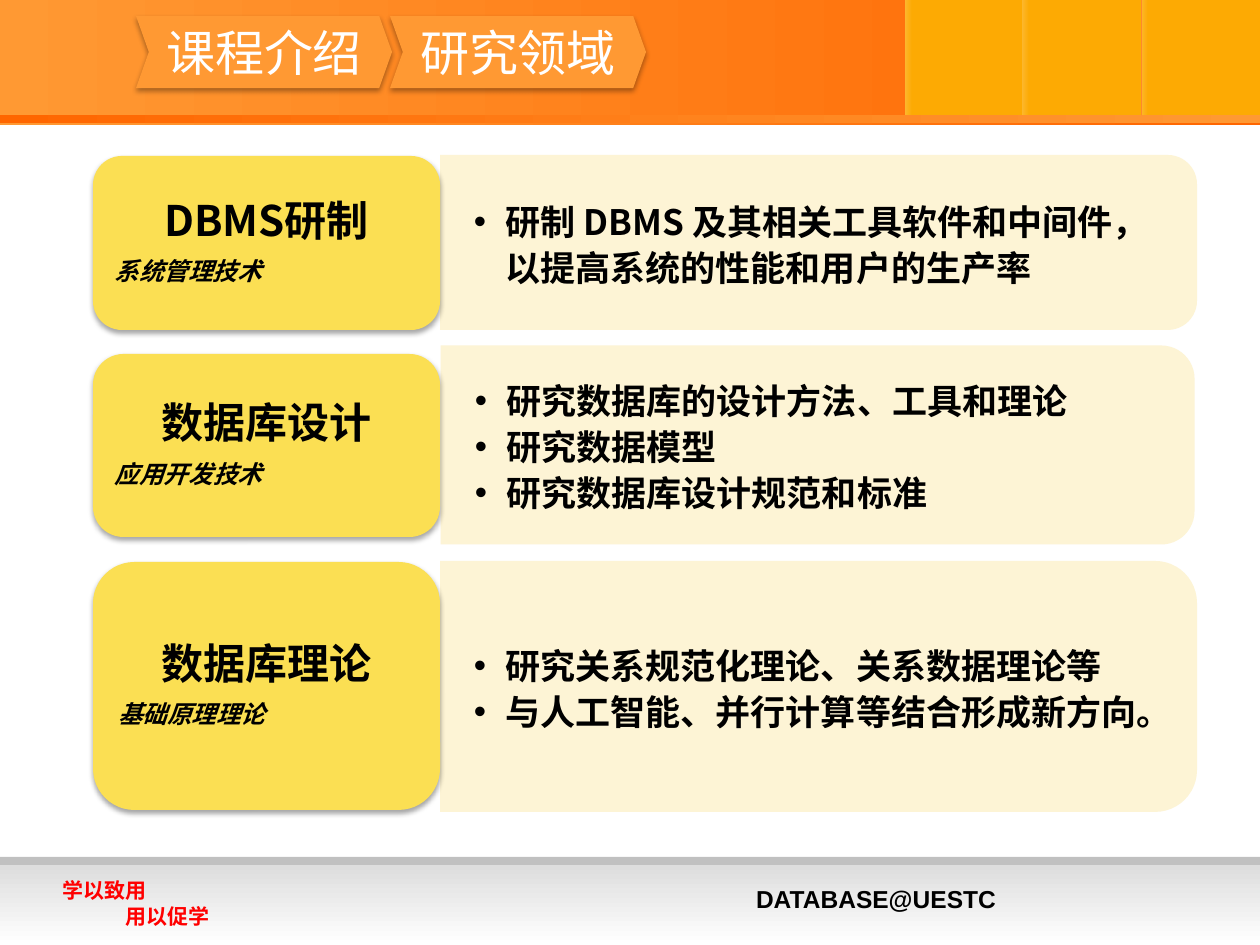
from dataclasses import dataclass
from typing import Any, Optional

from lxml.etree import SubElement
from pptx import Presentation
from pptx.dml.color import RGBColor
from pptx.enum.shapes import MSO_SHAPE
from pptx.enum.text import MSO_ANCHOR, PP_ALIGN
from pptx.oxml.ns import qn
from pptx.util import Emu, Pt

PX = 914400 / 126
ORANGE = RGBColor(0xFF, 0x66, 0x00)
LIGHT_ORANGE = RGBColor(0xFF, 0x99, 0x33)
AMBER = RGBColor(0xFD, 0xAA, 0x03)
YELLOW = RGBColor(0xFB, 0xDF, 0x53)
CREAM = RGBColor(0xFD, 0xF3, 0xD1)
SILVER = RGBColor(0xC0, 0xC0, 0xC0)
PALE_GRAY = RGBColor(0xDD, 0xDD, 0xDD)
WHITE = RGBColor(0xFF, 0xFF, 0xFF)
BLACK = RGBColor(0x00, 0x00, 0x00)
RED = RGBColor(0xFF, 0x00, 0x00)
CJK = "Noto Sans CJK SC"


@dataclass(frozen=True)
class Box:
    left: int
    top: int
    width: int
    height: int

    def emu(self) -> list[Emu]:
        return [px(v) for v in (self.left, self.top, self.width, self.height)]

    def turned(self) -> "Box":
        shift = (self.width - self.height) // 2
        return Box(self.left + shift, self.top - shift, self.height, self.width)


@dataclass(frozen=True)
class Topic:
    title: str
    subtitle: str
    points: tuple[str, ...]
    label: Box
    panel: Box


TOPICS = (
    Topic("DBMS研制", "系统管理技术",
          ("研制 DBMS 及其相关工具软件和中间件，以提高系统的性能和用户的生产率",),
          Box(93, 156, 347, 174), Box(440, 155, 757, 175)),
    Topic("数据库设计", "应用开发技术",
          ("研究数据库的设计方法、工具和理论", "研究数据模型", "研究数据库设计规范和标准"),
          Box(93, 354, 347, 183), Box(441, 345, 754, 199)),
    Topic("数据库理论", "基础原理理论",
          ("研究关系规范化理论、关系数据理论等", "与人工智能、并行计算等结合形成新方向。"),
          Box(93, 562, 347, 248), Box(440, 561, 757, 251)),
)


def px(value: int) -> Emu:
    return Emu(round(value * PX))


def set_alpha(shape: Any, *percents: int) -> None:
    for color, percent in zip(shape._element.spPr.iter(qn("a:srgbClr")), percents):
        SubElement(color, qn("a:alpha"), val=str(percent * 1000))


def add_solid(slide: Any, kind: MSO_SHAPE, box: Box, color: RGBColor) -> Any:
    shape = slide.shapes.add_shape(kind, *box.emu())
    shape.shadow.inherit = False
    shape.line.fill.background()
    shape.fill.solid()
    shape.fill.fore_color.rgb = color
    return shape


def add_gradient(slide: Any, box: Box, start: RGBColor, end: RGBColor, angle: int = 0) -> Any:
    shape = add_solid(slide, MSO_SHAPE.RECTANGLE, box, start)
    shape.fill.gradient()
    shape.fill.gradient_angle = angle
    for stop, color in zip(shape.fill.gradient_stops, (start, end)):
        stop.color.rgb = color
    return shape


def add_shadow(shape: Any) -> None:
    effects = shape._element.spPr.find(qn("a:effectLst"))
    shadow = SubElement(effects, qn("a:outerShdw"), blurRad="39370", dist="22860",
                        dir="5400000", rotWithShape="0")
    color = SubElement(shadow, qn("a:srgbClr"), val="000000")
    SubElement(color, qn("a:alpha"), val="35000")


def set_frame(shape: Any, horizontal: int, vertical: int, anchor: MSO_ANCHOR) -> Any:
    frame = shape.text_frame
    formats = {"word_wrap": True, "vertical_anchor": anchor,
               "margin_left": px(horizontal), "margin_right": px(horizontal),
               "margin_top": px(vertical), "margin_bottom": px(vertical)}
    for name, value in formats.items():
        setattr(frame, name, value)
    return frame


def write(frame: Any, index: int, text: str, color: RGBColor, font: dict[str, Any],
          layout: Optional[dict[str, Any]] = None, bullet: bool = False) -> None:
    paragraph = frame.add_paragraph() if index else frame.paragraphs[0]
    for name, value in ({"alignment": PP_ALIGN.LEFT} | (layout or {})).items():
        setattr(paragraph, name, value)
    if bullet:
        properties = paragraph._p.get_or_add_pPr()
        properties.set("marL", "228600")
        properties.set("indent", "-228600")
        SubElement(properties, qn("a:buFont"), typeface="Arial")
        SubElement(properties, qn("a:buChar"), char="•")
    run = paragraph.add_run()
    run.text = text
    for name, value in font.items():
        setattr(run.font, name, value)
    run.font.color.rgb = color
    SubElement(run._r.get_or_add_rPr(), qn("a:ea"), typeface=CJK)


def add_header(slide: Any) -> None:
    add_gradient(slide, Box(0, 0, 1260, 125), LIGHT_ORANGE, ORANGE)
    for left in (905, 1023, 1142):
        add_solid(slide, MSO_SHAPE.RECTANGLE, Box(left, 0, 118, 116), AMBER)
        set_alpha(add_gradient(slide, Box(left, 0, 6, 116), WHITE, AMBER), 18, 15)
    add_gradient(slide, Box(0, 115, 1260, 8), ORANGE, LIGHT_ORANGE)


def add_footer(slide: Any) -> None:
    add_solid(slide, MSO_SHAPE.RECTANGLE, Box(0, 857, 1260, 37), SILVER)
    add_gradient(slide, Box(0, 865, 1260, 80), PALE_GRAY, WHITE, 270)
    notes = (
        (Box(743, 878, 435, 43), ("DATABASE@UESTC",), BLACK, Pt(14)),
        (Box(50, 872, 252, 64), ("学以致用", "\t用以促学"), RED, Pt(12)),
    )
    for box, lines, color, size in notes:
        frame = set_frame(slide.shapes.add_textbox(*box.emu()), 13, 6, MSO_ANCHOR.TOP)
        for index, line in enumerate(lines):
            write(frame, index, line, color, {"name": "Arial", "size": size, "bold": True})


def add_topic(slide: Any, topic: Topic) -> None:
    panel = add_solid(slide, MSO_SHAPE.ROUND_2_SAME_RECTANGLE, topic.panel.turned(), CREAM)
    panel.rotation = 90
    set_alpha(panel, 90)
    inner = Box(topic.panel.left, topic.panel.top + 9, 747, topic.panel.height - 18)
    frame = set_frame(slide.shapes.add_textbox(*inner.emu()), 34, 18, MSO_ANCHOR.MIDDLE)
    for index, point in enumerate(topic.points):
        write(frame, index, point, BLACK, {"name": CJK, "size": Pt(20), "bold": True},
              {"level": 1, "line_spacing": 1.1}, bullet=True)

    label = add_solid(slide, MSO_SHAPE.ROUNDED_RECTANGLE, topic.label, YELLOW)
    add_shadow(label)
    frame = set_frame(label, 13, 6, MSO_ANCHOR.MIDDLE)
    write(frame, 0, topic.title, BLACK, {"name": CJK, "size": Pt(24), "bold": True},
          {"alignment": PP_ALIGN.CENTER, "line_spacing": 0.9, "space_after": Pt(8)})
    write(frame, 1, topic.subtitle, BLACK,
          {"name": CJK, "size": Pt(14), "bold": True, "italic": True},
          {"line_spacing": 0.9, "space_after": Pt(5)})


def add_chevron(slide: Any, left: int, text: str) -> None:
    chevron = add_solid(slide, MSO_SHAPE.CHEVRON, Box(left, 16, 256, 72), LIGHT_ORANGE)
    chevron.adjustments[0] = 0.178
    add_shadow(chevron)
    frame = set_frame(chevron, 0, 0, MSO_ANCHOR.MIDDLE)
    write(frame, 0, text, WHITE, {"name": CJK, "size": Pt(28)}, {"alignment": PP_ALIGN.CENTER})


def main() -> None:
    presentation = Presentation()
    presentation.slide_width = px(1260)
    presentation.slide_height = px(945)
    slide = presentation.slides.add_slide(presentation.slide_layouts[6])
    add_header(slide)
    add_footer(slide)
    for topic in TOPICS:
        add_topic(slide, topic)
    for left, text in ((136, "课程介绍"), (390, "研究领域")):
        add_chevron(slide, left, text)
    presentation.save("out.pptx")


if __name__ == "__main__":
    main()
